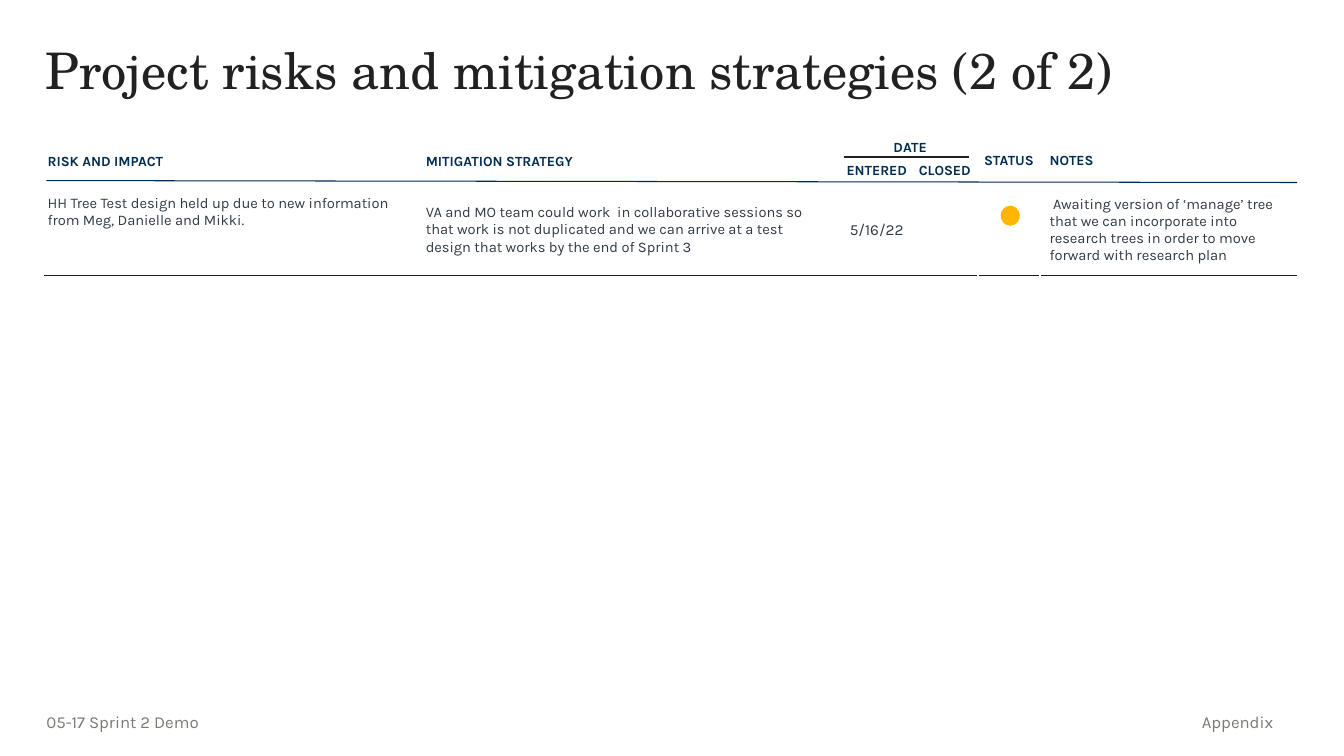
from lxml.etree import SubElement
from pptx import Presentation
from pptx.dml.color import RGBColor
from pptx.enum.shapes import MSO_CONNECTOR, MSO_SHAPE
from pptx.enum.text import MSO_ANCHOR, MSO_AUTO_SIZE, PP_ALIGN
from pptx.oxml import parse_xml
from pptx.oxml.ns import nsdecls, qn
from pptx.util import Cm, Pt

COLORS = {
    "ink": "202120",
    "navy": "022D50",
    "rule": "002B4F",
    "body": "303A46",
    "amber": "FEB600",
    "footer": "747C74",
    "white": "FFFFFF",
}
BODY_FONT = "Karla"
COLUMN_WIDTHS = [9.53, 10.57, 1.75, 1.68, 1.55, 6.48]
ROW_HEIGHTS = [0.56, 0.56, 2.28]
LEFT, CENTER, RIGHT = PP_ALIGN.LEFT, PP_ALIGN.CENTER, PP_ALIGN.RIGHT
TOP, MIDDLE = MSO_ANCHOR.TOP, MSO_ANCHOR.MIDDLE

# row, column, text, alignment, anchor, left and right margin, line spacing
HEADERS = [
    (0, 0, "RISK AND IMPACT", LEFT, MIDDLE, 0.08, 0.25, 1.15),
    (0, 1, "MITIGATION STRATEGY", LEFT, MIDDLE, 0.08, 0.08, 1.15),
    (0, 2, "DATE", CENTER, TOP, 0.08, 0.08, 1),
    (0, 4, "STATUS", CENTER, MIDDLE, 0.08, 0.08, 1),
    (0, 5, "NOTES", LEFT, MIDDLE, 0.25, 0.08, 1),
    (1, 2, "ENTERED", CENTER, TOP, 0.08, 0.08, 1),
    (1, 3, "CLOSED", CENTER, TOP, 0.08, 0.08, 1),
]
# column, text, size, alignment, anchor, left and right margin
RISK = [
    (0, "HH Tree Test design held up due to new information from Meg, Danielle "
        "and Mikki.", 10.5, LEFT, TOP, 0.08, 0.51),
    (1, "VA and MO team could work  in collaborative sessions so that work is not "
        "duplicated and we can arrive at a test design that works by the end of "
        "Sprint 3", 10.5, LEFT, MIDDLE, 0.08, 0.51),
    (2, "5/16/22", 11, CENTER, MIDDLE, 0.08, 0.08),
    (5, " Awaiting version of ‘manage’ tree that we can incorporate into research "
        "trees in order to move forward with research plan",
     10.5, LEFT, MIDDLE, 0.25, 0.08),
]


def color(name):
    return RGBColor.from_string(COLORS[name])


def set_font(para, size, color_name, name=BODY_FONT, bold=False):
    font = para.font
    font.name, font.size, font.bold = name, Pt(size), bold
    font.color.rgb = color(color_name)


def set_borders(cell, **sides):
    """Draw the sides given as L, R, T or B=(color, points); clear the others."""
    properties = cell._tc.get_or_add_tcPr()
    for index, side in enumerate("LRTB"):
        border = parse_xml(f"<a:ln{side} {nsdecls('a')}/>")
        if side in sides:
            color_name, width = sides[side]
            border.set("w", str(Pt(width)))
            fill = SubElement(border, qn("a:solidFill"))
            SubElement(fill, qn("a:srgbClr")).set("val", COLORS[color_name])
        else:
            border.set("w", "0")
            SubElement(border, qn("a:noFill"))
        properties.insert(index, border)


def fill_cell(cell, text, alignment, anchor, left, right, vertical):
    cell.text = text
    cell.vertical_anchor = anchor
    cell.margin_left, cell.margin_right = Cm(left), Cm(right)
    cell.margin_top = cell.margin_bottom = Cm(vertical)
    para = cell.text_frame.paragraphs[0]
    para.alignment = alignment
    return para


def add_title(slide, text):
    title = slide.shapes.title
    title.left, title.top = Cm(0.89), Cm(1.04)
    title.width, title.height = Cm(31.55), Cm(2.08)
    frame = title.text_frame
    frame.text = text
    frame.auto_size = MSO_AUTO_SIZE.NONE
    frame.vertical_anchor = TOP
    para = frame.paragraphs[0]
    para.alignment, para.line_spacing = LEFT, 0.9
    set_font(para, 36, "ink", "TeX Gyre Schola")


def add_risk_table(slide):
    table = slide.shapes.add_table(
        len(ROW_HEIGHTS), len(COLUMN_WIDTHS), Cm(1.12), Cm(3.45),
        Cm(sum(COLUMN_WIDTHS)), Cm(sum(ROW_HEIGHTS))).table
    table.first_row = table.horz_banding = False
    for column, width in zip(table.columns, COLUMN_WIDTHS):
        column.width = Cm(width)
    for row, height in zip(table.rows, ROW_HEIGHTS):
        row.height = Cm(height)

    gap = ("white", 1.5)
    gaps = {3: {"R": gap}, 4: {"L": gap, "T": gap, "R": gap}, 5: {"L": gap}}
    for row_index, row in enumerate(table.rows):
        for column_index, cell in enumerate(row.cells):
            cell.fill.background()
            if row_index == 2:
                set_borders(cell, B=("ink", 0.75), **gaps.get(column_index, {}))
            else:
                set_borders(cell)

    for column in (0, 1, 4, 5):
        table.cell(0, column).merge(table.cell(1, column))
    table.cell(0, 2).merge(table.cell(0, 3))

    for row, column, text, alignment, anchor, left, right, spacing in HEADERS:
        para = fill_cell(table.cell(row, column), text, alignment, anchor,
                         left, right, 0.08)
        para.line_spacing = spacing
        set_font(para, 10, "navy", bold=True)
    for column, text, size, alignment, anchor, left, right in RISK:
        para = fill_cell(table.cell(2, column), text, alignment, anchor,
                         left, right, 0.25)
        set_font(para, size, "body")


def add_rule(slide, start, end, color_name, width):
    rule = slide.shapes.add_connector(
        MSO_CONNECTOR.STRAIGHT, *map(Cm, start + end))
    rule.line.color.rgb = color(color_name)
    rule.line.width = Pt(width)
    SubElement(rule._element.spPr, qn("a:effectLst"))


def add_status_dot(slide):
    dot = slide.shapes.add_shape(
        MSO_SHAPE.OVAL, Cm(25.22), Cm(5.18), Cm(0.48), Cm(0.51))
    dot.shadow.inherit = False
    dot.fill.solid()
    dot.fill.fore_color.rgb = color("amber")
    dot.line.fill.background()


def add_footer(slide, left, text, alignment, margin_left):
    box = slide.shapes.add_textbox(Cm(left), Cm(17.81), Cm(7.57), Cm(0.76))
    frame = box.text_frame
    frame.word_wrap = True
    frame.margin_left = Cm(margin_left)
    frame.text = text
    para = frame.paragraphs[0]
    para.alignment = alignment
    set_font(para, 12, "footer")


def main():
    deck = Presentation()
    deck.slide_width, deck.slide_height = Cm(33.87), Cm(19.05)
    slide = deck.slides.add_slide(deck.slide_layouts.get_by_name("Title Only"))
    add_title(slide, "Project risks and mitigation strategies (2 of 2)")
    add_risk_table(slide)
    add_rule(slide, (1.17, 4.55), (32.69, 4.6), "rule", 0.75)
    add_rule(slide, (21.26, 3.96), (24.43, 3.96), "ink", 1)
    add_status_dot(slide)
    add_footer(slide, 1.17, "05-17 Sprint 2 Demo", LEFT, 0)
    add_footer(slide, 24.77, "Appendix", RIGHT, 0.25)
    deck.save("out.pptx")


if __name__ == "__main__":
    main()
